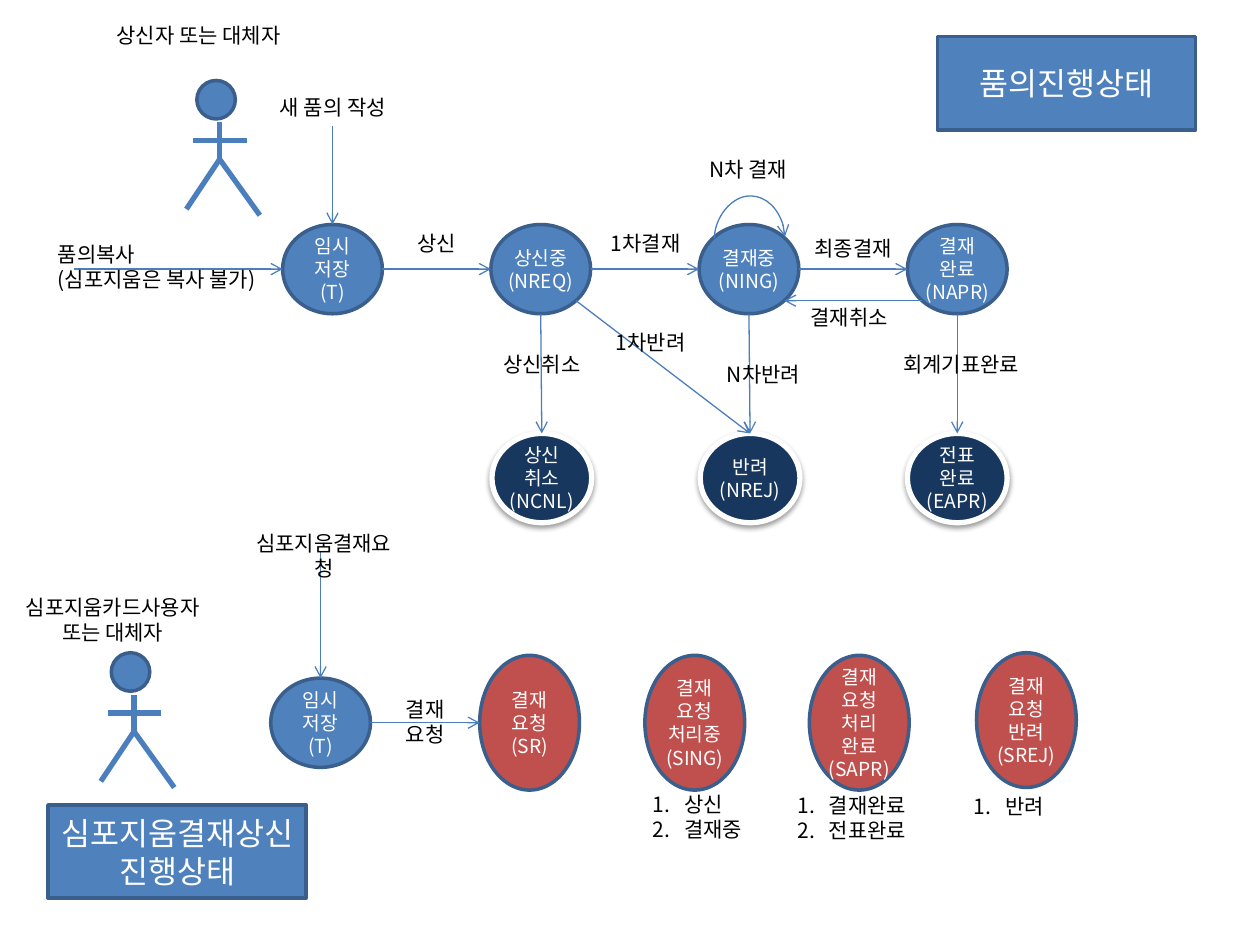
"""Build the approval status flow slide."""
from lxml.etree import SubElement
from pptx import Presentation
from pptx.dml.color import RGBColor
from pptx.enum.shapes import MSO_CONNECTOR as Link, MSO_SHAPE as Preset
from pptx.enum.text import MSO_ANCHOR as Anchor, MSO_AUTO_SIZE as AutoSize, PP_ALIGN as Align
from pptx.oxml.ns import qn
from pptx.util import Pt

FONT = "Noto Sans CJK KR"
BLUE = RGBColor(0x4F, 0x81, 0xBD)
BORDER = RGBColor(0x3A, 0x5F, 0x8C)
LINE = RGBColor(0x4B, 0x7E, 0xBC)
NAVY = RGBColor(0x17, 0x37, 0x5E)
RED = RGBColor(0xC0, 0x50, 0x4D)
WHITE = RGBColor(0xFF, 0xFF, 0xFF)
BLACK = RGBColor(0, 0, 0)

NODE_STYLES = {
    "active": dict(size=(57, 51), fill=BLUE, border=BORDER, weight=2),
    "final": dict(size=(57, 51), fill=NAVY, border=WHITE, weight=3),
    "request": dict(size=(57, 77), fill=RED, border=BORDER, weight=2),
}
COLUMNS = [190 + 119 * index for index in range(4)]
ACTIVE_Y, FINAL_Y, REQUEST_Y = 153.8, 273.2, 413
NODES = {
    "draft": ("active", COLUMNS[0], ACTIVE_Y, "임시\n저장\n(T)"),
    "submitted": ("active", COLUMNS[1], ACTIVE_Y, "상신중\n(NREQ)"),
    "approving": ("active", COLUMNS[2], ACTIVE_Y, "결재중\n(NING)"),
    "approved": ("active", COLUMNS[3], ACTIVE_Y, "결재\n완료\n(NAPR)"),
    "cancelled": ("final", COLUMNS[1] + 0.6, FINAL_Y, "상신\n취소\n(NCNL)"),
    "rejected": ("final", COLUMNS[2] + 0.6, FINAL_Y, "반려\n(NREJ)"),
    "posted": ("final", COLUMNS[3], FINAL_Y, "전표\n완료\n(EAPR)"),
    "card draft": ("active", 183.2, REQUEST_Y, "임시\n저장\n(T)"),
    "requested": ("request", 302.6, REQUEST_Y, "결재\n요청\n(SR)"),
    "processing": ("request", 397, REQUEST_Y, "결재\n요청\n처리중\n(SING)"),
    "processed": ("request", 491, REQUEST_Y, "결재\n요청\n처리\n완료\n(SAPR)"),
    "declined": ("request", 586.5, 411.5, "결재\n요청\n반려\n(SREJ)"),
}
DIAGONAL = 0.707
SIDES = {
    "left": (-1, 0), "right": (1, 0), "top": (0, -1), "bottom": (0, 1),
    "lower left": (-DIAGONAL, DIAGONAL), "lower right": (DIAGONAL, DIAGONAL),
}
ARROWS = [
    ((42.5, ACTIVE_Y), ("draft", "left")),
    ((COLUMNS[0], 72), ("draft", "top")),
    (("draft", "right"), ("submitted", "left")),
    (("submitted", "right"), ("approving", "left")),
    (("approving", "right"), ("approved", "left")),
    (("approved", "lower left"), ("approving", "lower right")),
    (("submitted", "bottom"), ("cancelled", "top")),
    (("submitted", "lower right"), ("rejected", "top")),
    (("approving", "bottom"), ("rejected", "top")),
    (("approved", "bottom"), ("posted", "top")),
    ((183.2, 315.5), ("card draft", "top")),
    (("card draft", "right"), ("requested", "left")),
]
LABELS = [
    ("상신자 또는 대체자", 52, 9.4, 123, 22),
    ("새 품의 작성", 142, 50.4, 96.5, 22),
    ("상신", 229.7, 128.2, 39.6, 22),
    ("1차결재", 337.7, 128.2, 62.6, 22),
    ("N차 결재", 382.3, 85.7, 90.7, 22),
    ("최종결재", 445, 131, 85, 22),
    ("결재취소", 442.8, 170.6, 85, 22),
    ("상신취소", 261.4, 197.3, 96.5, 22),
    ("1차반려", 342.7, 185, 58.3, 22),
    ("N차반려", 388, 203, 96.5, 22),
    ("회계기표완료", 501, 197.3, 96.5, 22),
    ("심포지움결재요청", 136.8, 299.5, 96.5, 36),
    ("심포지움카드사용자 또는 대체자", 2.9, 336.2, 123, 36),
    ("결재요청", 223.2, 394.6, 39.6, 36),
]
COPY_LABEL = ("품의복사\n(심포지움은 복사 불가)", 26, 134.6, 139.7, 36)
NUMBERED_LISTS = [
    ("상신\n결재중", 365.8, 448.6, 69, 36),
    ("결재완료\n전표완료", 448.6, 449.3, 81.4, 36),
    ("반려", 549.4, 450, 57, 22),
]
TITLE = ("품의진행상태", 535.7, 20.9, 147.6, 53.3)
SECTION = ("심포지움결재상신 진행상태", 27.4, 460, 147.6, 53.3)
FIGURES = [(106.5, 46), (57.6, 373)]
HEAD = (6, 0, 22, 22)
LIMBS = [(4, 34.5, 34.5, 34.5), (19, 45, 19, 24), (42, 77, 19, 45), (0, 73.5, 19, 45)]


def points(values):
    return [Pt(value) for value in values]


def style_shape(shape, fill, border, weight):
    shape.shadow.inherit = False
    shape.fill.solid()
    shape.fill.fore_color.rgb = fill
    shape.line.color.rgb = border
    shape.line.width = Pt(weight)


def write(shape, text, size, color, align=Align.CENTER, **frame_format):
    frame = shape.text_frame
    for name, value in frame_format.items():
        setattr(frame, name, value)
    for index, line in enumerate(text.split("\n")):
        paragraph = frame.add_paragraph() if index else frame.paragraphs[0]
        paragraph.alignment = align
        run = paragraph.add_run()
        run.text = line
        run.font.size = Pt(size)
        run.font.color.rgb = color
        run.font.name = FONT
        SubElement(run.font._element, qn("a:ea"), typeface=FONT)


def add_line(shapes, kind, ends, weight, arrow=False):
    line = shapes.add_connector(kind, *points(ends))
    line.line.color.rgb = LINE
    line.line.width = Pt(weight)
    properties = line._element.spPr
    if arrow:
        SubElement(properties.find(qn("a:ln")), qn("a:tailEnd"), type="arrow")
    SubElement(properties, qn("a:effectLst"))
    return line


def add_node(style_name, center_x, center_y, text):
    style = dict(NODE_STYLES[style_name])
    width, height = style.pop("size")
    box = (center_x - width / 2, center_y - height / 2, width, height)
    node = slide.shapes.add_shape(Preset.OVAL, *points(box))
    style_shape(node, **style)
    if style_name == "final":
        effects = node._element.spPr.find(qn("a:effectLst"))
        shadow = SubElement(effects, qn("a:outerShdw"), blurRad=str(Pt(3.1)),
                            dist=str(Pt(1.6)), dir="5400000", rotWithShape="0")
        color = SubElement(shadow, qn("a:srgbClr"), val="000000")
        SubElement(color, qn("a:alpha"), val="38000")
    write(node, text, 11, WHITE, vertical_anchor=Anchor.MIDDLE, word_wrap=True,
          margin_left=0, margin_right=0, margin_top=0, margin_bottom=0)


def end_point(end):
    if end[0] not in NODES:
        return end
    style_name, center_x, center_y, _ = NODES[end[0]]
    width, height = NODE_STYLES[style_name]["size"]
    side_x, side_y = SIDES[end[1]]
    return center_x + side_x * width / 2, center_y + side_y * height / 2


def add_label(text, *box, align=Align.CENTER, wrap=True):
    label = slide.shapes.add_textbox(*points(box))
    write(label, text, 12, BLACK, align, word_wrap=wrap, auto_size=AutoSize.SHAPE_TO_FIT_TEXT)
    return label


def add_loop(center_x, center_y, span, rise):
    loop = add_line(slide.shapes, Link.CURVE,
                    (center_x - 0.5, center_y - span / 2, center_x + 0.5, center_y + span / 2),
                    0.75, arrow=True)
    properties = loop._element.spPr
    for name, value in {"rot": "5400000", "flipH": "1", "flipV": "1"}.items():
        properties.find(qn("a:xfrm")).set(name, value)
    adjustments = properties.find(qn("a:prstGeom")).get_or_add_avLst()
    SubElement(adjustments, qn("a:gd"), name="adj1", fmla=f"val {round(rise * 100000)}")


def add_figure(left, top):
    shapes = slide.shapes.add_group_shape().shapes
    head_x, head_y, *head_size = HEAD
    head = shapes.add_shape(Preset.OVAL, *points((left + head_x, top + head_y, *head_size)))
    style_shape(head, BLUE, BORDER, 2)
    for x1, y1, x2, y2 in LIMBS:
        add_line(shapes, Link.STRAIGHT, (left + x1, top + y1, left + x2, top + y2), 3)


presentation = Presentation()
presentation.slide_width, presentation.slide_height = Pt(720), Pt(540)
slide = presentation.slides.add_slide(presentation.slide_layouts[5])

title = slide.shapes.title
title.left, title.top, title.width, title.height = points(TITLE[1:])
section = slide.shapes.add_shape(Preset.RECTANGLE, *points(SECTION[1:]))
for banner, (text, *_) in ((title, TITLE), (section, SECTION)):
    style_shape(banner, BLUE, BORDER, 2)
    write(banner, text, 18, WHITE, vertical_anchor=Anchor.MIDDLE, word_wrap=True,
          auto_size=AutoSize.NONE)

for node in NODES.values():
    add_node(*node)
for start, finish in ARROWS:
    add_line(slide.shapes, Link.STRAIGHT, end_point(start) + end_point(finish), 0.75, arrow=True)
add_loop(COLUMNS[2] + 0.4, 135.8, 40.3, 24.5)
for figure in FIGURES:
    add_figure(*figure)

for label in LABELS:
    add_label(*label)
add_label(*COPY_LABEL, align=Align.LEFT, wrap=False)
for numbered in NUMBERED_LISTS:
    for paragraph in add_label(*numbered, align=Align.LEFT, wrap=False).text_frame.paragraphs:
        properties = paragraph._p.get_or_add_pPr()
        properties.set("marL", str(Pt(18)))
        properties.set("indent", str(-Pt(18)))
        SubElement(properties, qn("a:buAutoNum"), type="arabicPeriod")

presentation.save("out.pptx")
